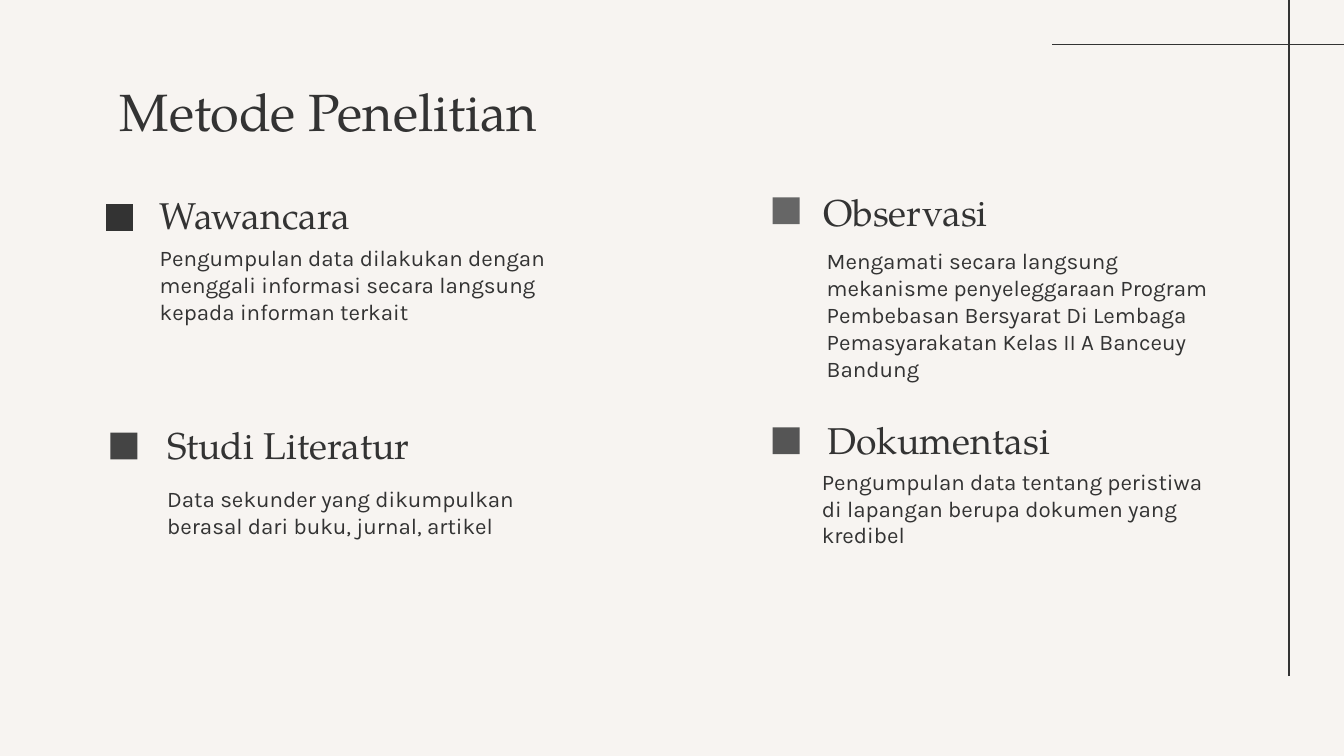
from pptx import Presentation
from pptx.dml.color import RGBColor
from pptx.enum.shapes import MSO_CONNECTOR, MSO_SHAPE
from pptx.enum.text import MSO_ANCHOR, MSO_AUTO_SIZE, PP_ALIGN
from pptx.oxml.ns import qn
from pptx.util import Pt
from lxml import etree

STRAIGHT = MSO_CONNECTOR.STRAIGHT
RECTANGLE = MSO_SHAPE.RECTANGLE
TOP, BOTTOM = MSO_ANCHOR.TOP, MSO_ANCHOR.BOTTOM
NO_AUTOFIT = MSO_AUTO_SIZE.NONE
LEFT = PP_ALIGN.LEFT

CREAM = RGBColor(0xF7, 0xF4, 0xF1)
INK = RGBColor(0x33, 0x33, 0x33)
CHARCOAL = RGBColor(0x44, 0x44, 0x44)
SLATE = RGBColor(0x55, 0x55, 0x55)
GREY = RGBColor(0x66, 0x66, 0x66)

SERIF = "TeX Gyre Pagella"
SANS = "Karla"
MARKER_SIZE = 14.4
INSET = 7.2

# Marker colour and position, heading and its box, description and its box
METHODS = [
    (INK, (56.9, 109.4),
     "Wawancara", (78.5, 105.8, 161.3, 28.1),
     "Pengumpulan data dilakukan dengan menggali informasi secara langsung "
     "kepada informan terkait", (78.5, 123.8, 256.3, 28.1)),
    (CHARCOAL, (59.2, 231.8),
     "Studi Literatur", (82.5, 229, 161.3, 28.1),
     "Data sekunder yang dikumpulkan berasal dari buku, jurnal, artikel",
     (82.5, 252.9, 227.5, 28.1)),
    (SLATE, (414, 229),
     "Dokumentasi", (436.1, 218.2, 166.3, 36.7),
     "Pengumpulan data tentang peristiwa di lapangan berupa dokumen yang "
     "kredibel", (433.2, 243.4, 227.5, 28.1)),
    (GREY, (414, 105.8),
     "Observasi", (433.9, 105.1, 170.6, 27.4),
     "Mengamati secara langsung mekanisme penyeleggaraan Program Pembebasan "
     "Bersyarat Di Lembaga Pemasyarakatan Kelas II A Banceuy Bandung",
     (435.8, 125.3, 227.5, 28.1)),
]


def write_text(box, text, *, font, size, anchor=TOP):
    frame = box.text_frame
    frame.auto_size = NO_AUTOFIT
    frame.word_wrap = True
    frame.vertical_anchor = anchor
    frame.margin_left = frame.margin_right = Pt(INSET)
    frame.margin_top = frame.margin_bottom = Pt(INSET)
    para = frame.paragraphs[0]
    para.alignment = LEFT
    span = para.add_run()
    span.text = text
    span.font.name = font
    span.font.size = Pt(size)
    span.font.color.rgb = INK


def add_title(page, text):
    title = page.shapes.title
    title.left, title.top = Pt(56.9), Pt(35.3)
    title.width, title.height = Pt(607), Pt(45.4)
    write_text(title, text, font=SERIF, size=28)


def add_text(page, bounds, text, **text_format):
    box = page.shapes.add_textbox(*map(Pt, bounds))
    write_text(box, text, **text_format)


def add_rule(page, *ends):
    rule = page.shapes.add_connector(STRAIGHT, *map(Pt, ends))
    rule.line.color.rgb = INK
    rule.line.width = Pt(0.75)
    etree.SubElement(rule._element.spPr, qn("a:effectLst"))


def add_marker(page, position, color):
    left, top = map(Pt, position)
    marker = page.shapes.add_shape(
        RECTANGLE, left, top, Pt(MARKER_SIZE), Pt(MARKER_SIZE))
    marker.shadow.inherit = False
    marker.fill.solid()
    marker.fill.fore_color.rgb = color
    marker.line.fill.background()


def main():
    deck = Presentation()
    deck.slide_width, deck.slide_height = Pt(720), Pt(405)
    page = deck.slides.add_slide(deck.slide_layouts.get_by_name("Title Only"))
    page.background.fill.solid()
    page.background.fill.fore_color.rgb = CREAM

    add_rule(page, 563.8, 23.8, 727.2, 23.8)
    add_rule(page, 690.5, 362.2, 690.5, -2.2)
    add_title(page, "Metode Penelitian")
    for color, position, heading, heading_box, detail, detail_box in METHODS:
        add_marker(page, position, color)
        add_text(page, heading_box, heading, font=SERIF, size=20, anchor=BOTTOM)
        add_text(page, detail_box, detail, font=SANS, size=12)

    deck.save("out.pptx")


if __name__ == "__main__":
    main()
